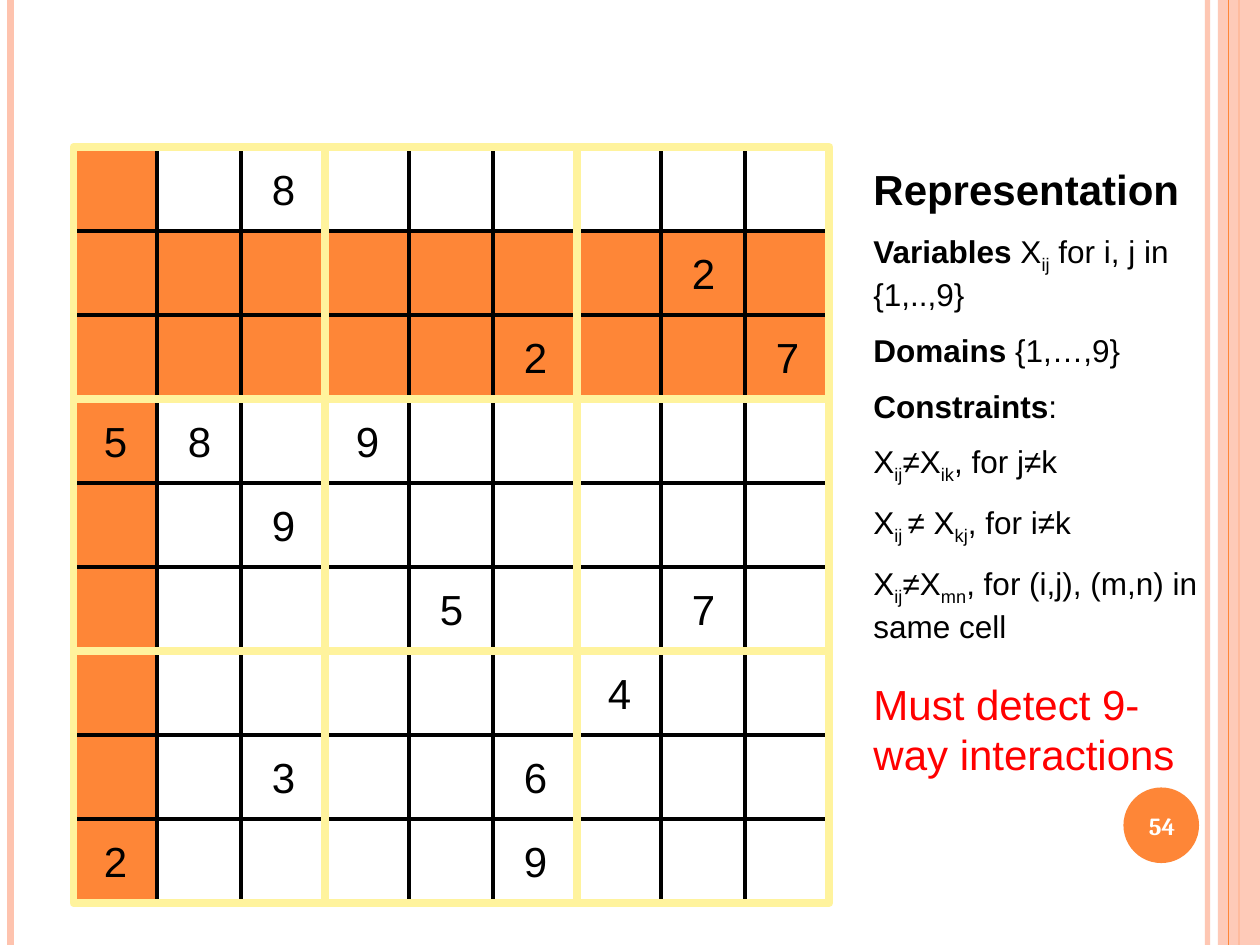
from lxml import etree
from pptx import Presentation
from pptx.dml.color import RGBColor
from pptx.enum.shapes import MSO_CONNECTOR, MSO_SHAPE
from pptx.enum.text import MSO_ANCHOR, MSO_AUTO_SIZE, PP_ALIGN
from pptx.oxml.ns import qn
from pptx.util import Pt

RECT, OVAL = MSO_SHAPE.RECTANGLE, MSO_SHAPE.OVAL
STRAIGHT = MSO_CONNECTOR.STRAIGHT
MIDDLE, CENTER = MSO_ANCHOR.MIDDLE, PP_ALIGN.CENTER
FIT = MSO_AUTO_SIZE.SHAPE_TO_FIT_TEXT

WIDTH, HEIGHT = 720, 540
CELL, LEFT, TOP = 48, 42, 84
BOX = 3 * CELL
PUZZLE = [
    "..8......",
    ".......2.",
    ".....2..7",
    "58.9.....",
    "..9......",
    "....5..7.",
    "......4..",
    "..3..6...",
    "2....9...",
]
MARKED_ROWS, MARKED_COL = (1, 2), 0

# Each run is (text, style): "b" is bold, "s" is subscript, "" is plain.
RULES = [
    [("Variables", "b"), (" X", ""), ("ij", "s"), (" for i, j in {1,..,9}", "")],
    [("Domains", "b"), (" {1,…,9}", "")],
    [("Constraints", "b"), (":", "")],
    [("X", ""), ("ij", "s"), ("≠X", ""), ("ik", "s"), (", for j≠k", "")],
    [("X", ""), ("ij ", "s"), ("≠ X", ""), ("kj", "s"), (", for i≠k", "")],
    [("X", ""), ("ij", "s"), ("≠X", ""), ("mn", "s"),
     (", for (i,j), (m,n) in same cell", "")],
]


def rgb(value):
    return RGBColor.from_string(value)


def set_alpha(fill, percent):
    color = fill._xPr.find(qn("a:solidFill"))[0]
    etree.SubElement(color, qn("a:alpha")).set("val", str(percent * 1000))


class Deck:
    orange, pink, yellow = "FE8637", "FEC3AE", "FFF39D"
    black, white, red = "000000", "FFFFFF", "FF0000"
    font = "Arial"

    def __init__(self, prs):
        self.s = prs.slides.add_slide(prs.slide_layouts[6])

    def vertical(self, x, color, width, alpha=None):
        """Draw a line over the full height of the slide."""
        line = self.s.shapes.add_connector(STRAIGHT, Pt(x), 0, Pt(x), Pt(HEIGHT))
        line.line.color.rgb = rgb(color)
        line.line.width = Pt(width)
        if alpha:
            set_alpha(line.line.fill, alpha)
        etree.SubElement(line._element.spPr, qn("a:effectLst"))

    def shape(self, kind, x, y, w, h, fill=None, line=None, width=0, alpha=None):
        sp = self.s.shapes.add_shape(kind, Pt(x), Pt(y), Pt(w), Pt(h))
        sp.shadow.inherit = False
        if fill:
            sp.fill.solid()
            sp.fill.fore_color.rgb = rgb(fill)
            if alpha:
                set_alpha(sp.fill, alpha)
        else:
            sp.fill.background()
        if line:
            sp.line.color.rgb = rgb(line)
            sp.line.width = Pt(width)
        else:
            sp.line.fill.background()
        return sp

    def run(self, p, text, size, color=black, style="", font=font):
        r = p.add_run()
        r.text = text
        r.font.name = font
        r.font.size = Pt(size)
        r.font.bold = style == "b"
        r.font.color.rgb = rgb(color)
        if style == "s":
            r.font._element.set("baseline", "-25000")

    def textbox(self, x, y, w, h):
        tf = self.s.shapes.add_textbox(Pt(x), Pt(y), Pt(w), Pt(h)).text_frame
        tf.word_wrap = True
        return tf

    def cell(self, row, col, digit):
        marked = row in MARKED_ROWS or col == MARKED_COL
        sp = self.shape(RECT, LEFT + col * CELL, TOP + row * CELL, CELL, CELL,
                        self.orange if marked else self.white, self.black, 2.25)
        if digit != ".":
            tf = sp.text_frame
            tf.word_wrap = False
            tf.vertical_anchor = MIDDLE
            p = tf.paragraphs[0]
            p.alignment = CENTER
            self.run(p, digit, 24)

    def board(self):
        for row, digits in enumerate(PUZZLE):
            for col, digit in enumerate(digits):
                self.cell(row, col, digit)
        for col in range(3):
            for row in range(3):
                self.shape(RECT, LEFT + col * BOX, TOP + row * BOX, BOX, BOX,
                           line=self.yellow, width=4.5)

    def borders(self):
        self.vertical(690, self.pink, 3, alpha=93)
        self.vertical(6, self.pink, 4.5)
        self.vertical(708, self.orange, 1.5)
        self.shape(RECT, 696, 0, 24, HEIGHT, self.pink, alpha=87)
        self.vertical(702, self.orange, 0.75)

    def page_number(self, number):
        self.shape(OVAL, 642, 450, 43.2, 43.2, self.orange)
        tf = self.textbox(640, 451.4, 48, 41)
        tf.vertical_anchor = MIDDLE
        p = tf.paragraphs[0]
        p.alignment = CENTER
        self.run(p, number, 14, self.white, "b", "Cambria")

    def representation(self):
        tf = self.textbox(492, 90, 228, 274)
        tf.auto_size = FIT
        p = tf.paragraphs[0]
        p.space_before = Pt(2)
        self.run(p, "Representation", 24, style="b")
        for rule in RULES:
            p = tf.add_paragraph()
            p.space_before = Pt(10.3)
            for text, style in rule:
                self.run(p, text, 18, style=style)

    def remark(self, text):
        tf = self.textbox(492, 384, 198, 65)
        tf.auto_size = FIT
        p = tf.paragraphs[0]
        p.space_before = Pt(2)
        self.run(p, text, 24, self.red)


def main():
    prs = Presentation()
    prs.slide_width, prs.slide_height = Pt(WIDTH), Pt(HEIGHT)
    deck = Deck(prs)
    deck.borders()
    deck.page_number("54")
    deck.board()
    deck.representation()
    deck.remark("Must detect 9-way interactions")
    prs.save("out.pptx")


if __name__ == "__main__":
    main()
